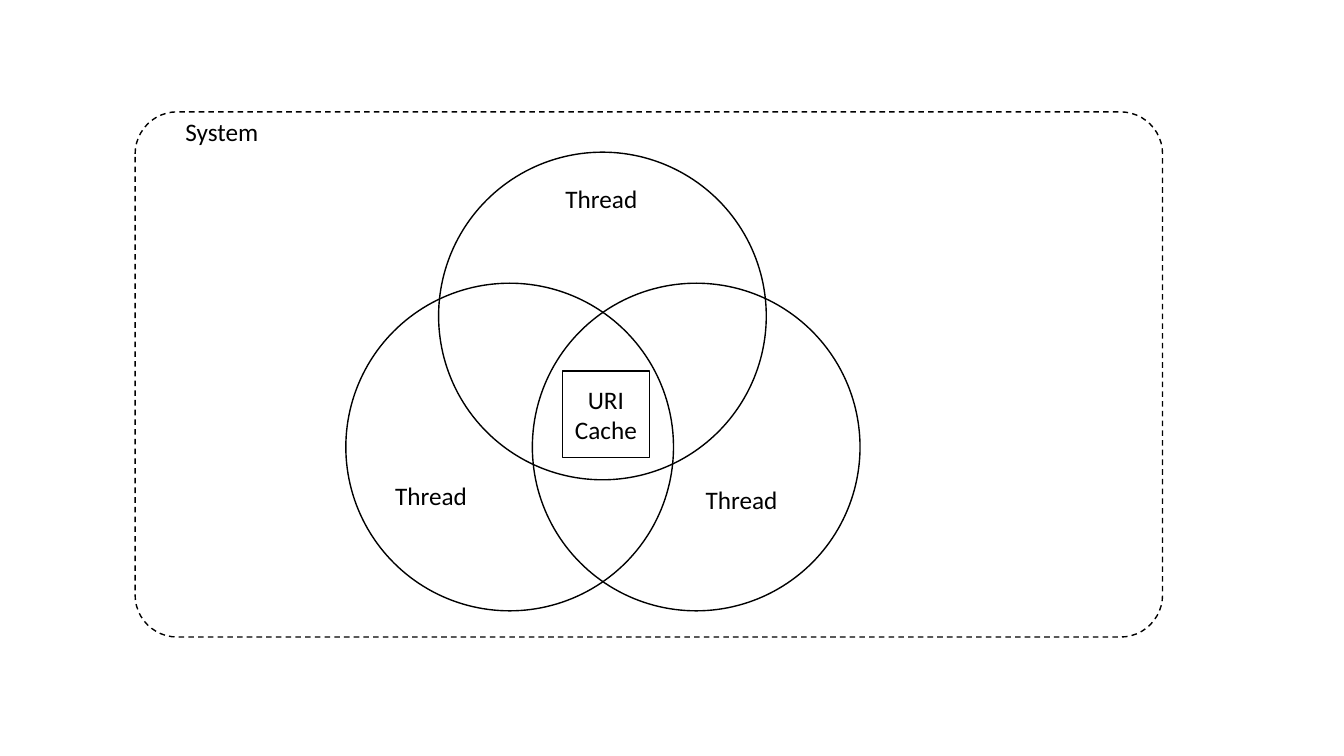
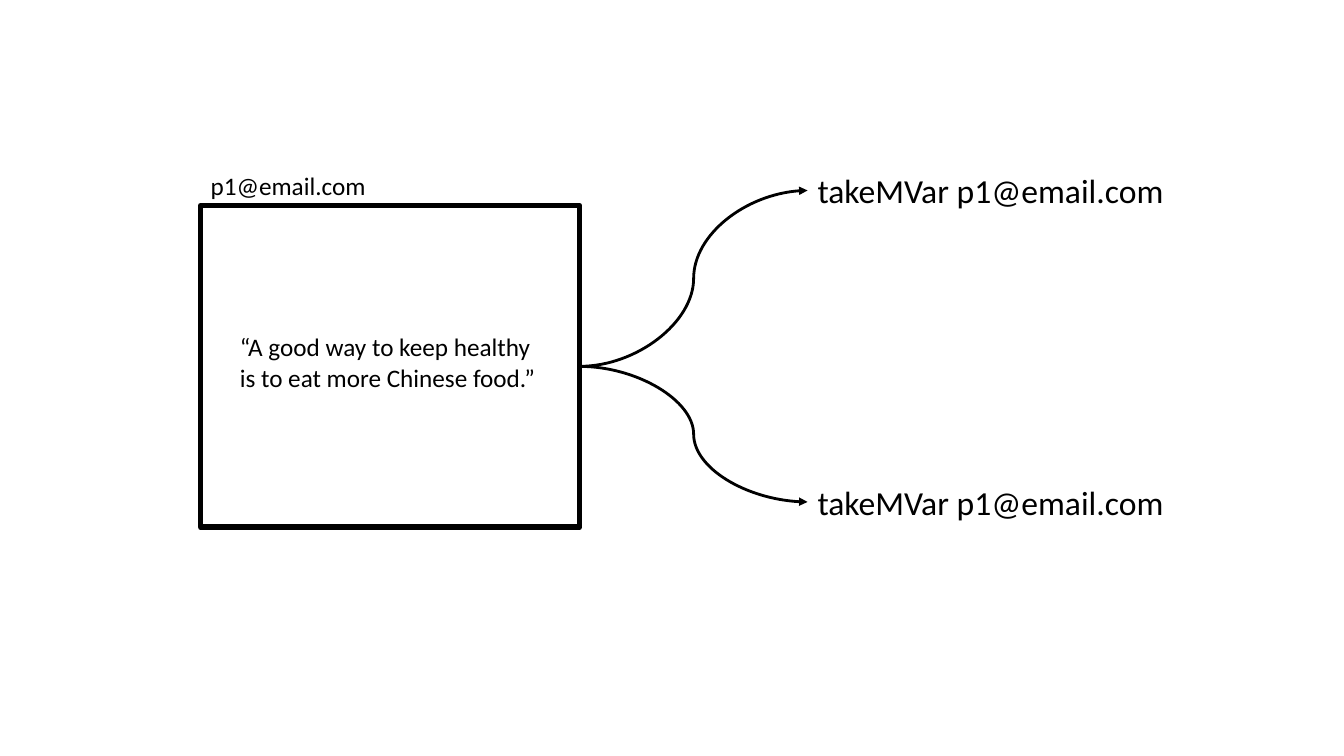
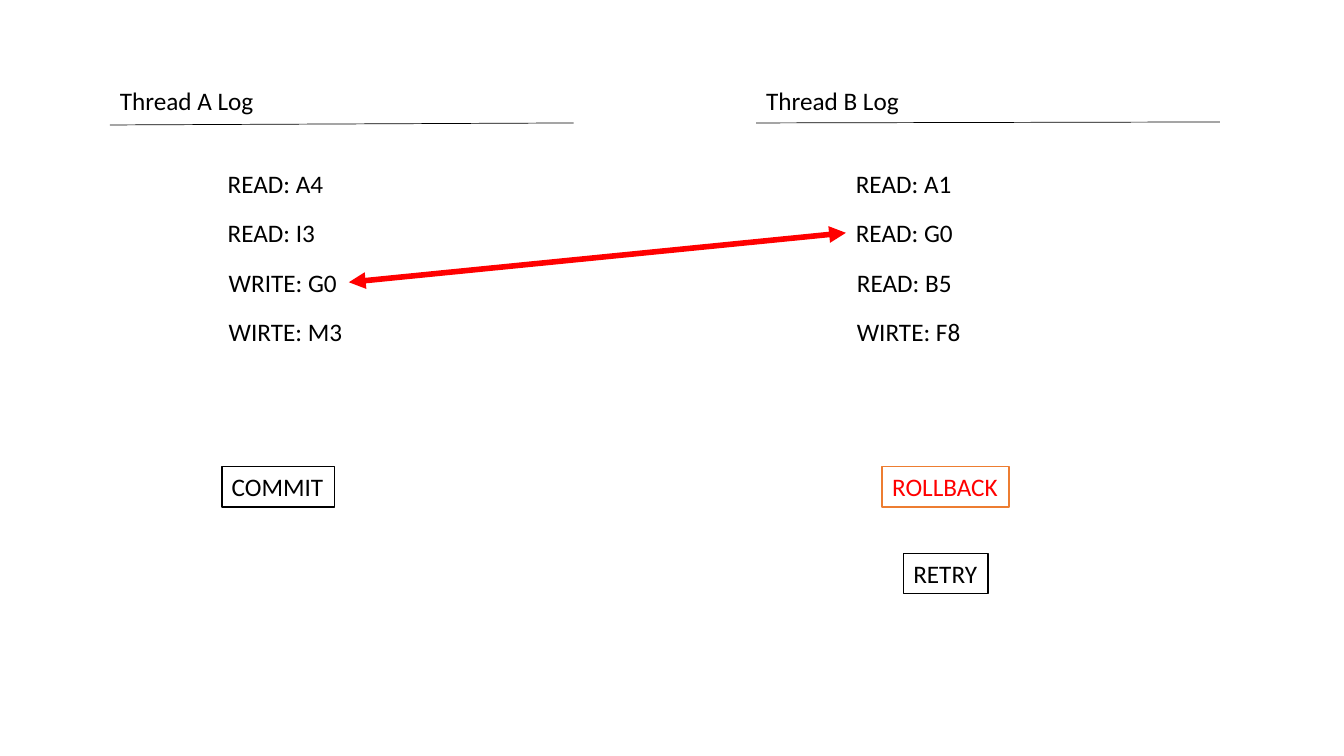
from dataclasses import dataclass

from lxml import etree
from pptx import Presentation
from pptx.dml.color import RGBColor
from pptx.enum.dml import MSO_LINE
from pptx.enum.shapes import MSO_CONNECTOR, MSO_SHAPE
from pptx.enum.text import MSO_ANCHOR, MSO_AUTO_SIZE, PP_ALIGN
from pptx.oxml.ns import qn
from pptx.util import Pt

RECTANGLE = MSO_SHAPE.RECTANGLE
ROUNDED = MSO_SHAPE.ROUNDED_RECTANGLE
OVAL = MSO_SHAPE.OVAL
STRAIGHT = MSO_CONNECTOR.STRAIGHT
CURVE = MSO_CONNECTOR.CURVE
DASH = MSO_LINE.DASH
LEFT, CENTER = PP_ALIGN.LEFT, PP_ALIGN.CENTER
TOP, MIDDLE = MSO_ANCHOR.TOP, MSO_ANCHOR.MIDDLE
GROW = MSO_AUTO_SIZE.SHAPE_TO_FIT_TEXT
SIDE_LEFT, SIDE_RIGHT = 1, 3

PIXEL = 9144  # EMU; 100 px to the inch
LABEL_HEIGHT = 40


@dataclass(frozen=True)
class Theme:
    font: str = "Calibri"
    ink: RGBColor = RGBColor(0x00, 0x00, 0x00)
    paper: RGBColor = RGBColor(0xFF, 0xFF, 0xFF)
    alert: RGBColor = RGBColor(0xFF, 0x00, 0x00)
    alert_border: RGBColor = RGBColor(0xED, 0x7D, 0x31)
    body: int = 18
    large: int = 24
    hairline: float = 0.5
    thin: int = 1
    medium: int = 2
    thick: int = 4


THEME = Theme()


def px(*lengths):
    return [length * PIXEL for length in lengths]


def write_text(shape, text, size=THEME.body, color=THEME.ink, align=LEFT,
               anchor=TOP, wrap=False, grow=True):
    frame = shape.text_frame
    frame.word_wrap = wrap
    frame.vertical_anchor = anchor
    if grow:
        frame.auto_size = GROW
    paragraph = frame.paragraphs[0]
    paragraph.alignment = align
    run = paragraph.add_run()
    run.text = text
    run.font.name = THEME.font
    run.font.size = Pt(size)
    run.font.color.rgb = color


def add_label(slide, box, text, **text_format):
    shape = slide.shapes.add_textbox(*px(*box))
    write_text(shape, text, **text_format)
    return shape


def add_outline(slide, kind, box, line=THEME.ink, width=THEME.thin, filled=True):
    shape = slide.shapes.add_shape(kind, *px(*box))
    shape.shadow.inherit = False
    if filled:
        shape.fill.solid()
        shape.fill.fore_color.rgb = THEME.paper
    else:
        shape.fill.background()
    shape.line.color.rgb = line
    shape.line.width = Pt(width)
    return shape


def add_line(slide, kind=STRAIGHT, points=(0, 0, 0, 0), color=THEME.ink,
             width=THEME.hairline, begin=None, end=None, arrows=()):
    connector = slide.shapes.add_connector(kind, *px(*points))
    if begin:
        connector.begin_connect(*begin)
    if end:
        connector.end_connect(*end)
    connector.line.color.rgb = color
    connector.line.width = Pt(width)
    line_element = connector.line._get_or_add_ln()
    for arrow in arrows:
        etree.SubElement(line_element, qn(f"a:{arrow}"), type="triangle")
    etree.SubElement(connector._element.spPr, qn("a:effectLst"))
    return connector


# Slide 1: threads sharing a cache
def build_shared_cache(slide, left, top, width, height):
    system = add_outline(slide, ROUNDED, (left, top, width, height))
    system.adjustments[0] = 0.08
    system.line.dash_style = DASH
    add_label(slide, (left + 40, top, 93, LABEL_HEIGHT), "System")

    # Three overlapping threads: circle offset, then its label's offset
    diameter = 325
    venn_left, venn_top = left + 301, top + 40
    threads = [
        ((0, 0), (116, 26)),
        ((93, 130), (162, 195)),
        ((-92, 130), (39, 191)),
    ]
    for (across, down), (label_across, label_down) in threads:
        x, y = venn_left + across, venn_top + down
        add_outline(slide, OVAL, (x, y, diameter, diameter), filled=False)
        add_label(slide, (x + label_across, y + label_down, 92, LABEL_HEIGHT),
                  "Thread")

    # Cache in the common area
    cache = add_outline(slide, RECTANGLE, (venn_left + 123, venn_top + 217, 86, 86))
    write_text(cache, "URI Cache", align=CENTER, anchor=MIDDLE, wrap=True, grow=False)


# Slide 2: two readers contending for one variable
def build_contention(slide, left, top, width, height):
    address = "p1@email.com"
    variable = add_outline(slide, RECTANGLE, (left, top, width, height),
                           width=THEME.thick)
    add_label(slide, (left, top - LABEL_HEIGHT, 175, LABEL_HEIGHT), address)
    add_label(slide, (left + 29, top + 120, 322, 71),
              "“A good way to keep healthy is to eat more Chinese food.”", wrap=True)

    # Readers, each reached by a curved arrow
    for reader_top in (top - 40, top + 269):
        reader = add_label(slide, (left + width + 226, reader_top, 365, 50),
                           f"takeMVar {address}", size=THEME.large)
        add_line(slide, CURVE, width=THEME.medium, begin=(variable, SIDE_RIGHT),
                 end=(reader, SIDE_LEFT), arrows=["tailEnd"])


# Slide 3: transaction logs in conflict
def add_log(slide, left, top, title, entries, indent, rule_down, rule_rise):
    add_label(slide, (left, top, 154, LABEL_HEIGHT), title)
    rule_top = top + rule_down
    add_line(slide, points=(left, rule_top, left + 460, rule_top - rule_rise))
    labels = {}
    for row, (text, width) in enumerate(entries):
        box = (left + indent + row // 2, top + 82 + 49 * row, width, LABEL_HEIGHT)
        labels[text] = add_label(slide, box, text)
    return labels


def add_outcome(slide, left, top, width, text, line=THEME.ink, color=THEME.ink):
    shape = add_outline(slide, RECTANGLE, (left, top, width, LABEL_HEIGHT), line=line)
    write_text(shape, text, color=color)


def build_logs(slide, left, top):
    right = left + 641
    log_a = add_log(
        slide, left, top, "Thread A Log",
        [("READ: A4", 116), ("READ: I3", 108), ("WRITE: G0", 129), ("WIRTE: M3", 134)],
        indent=107, rule_down=44, rule_rise=2)
    log_b = add_log(
        slide, right, top, "Thread B Log",
        [("READ: A1", 116), ("READ: G0", 117), ("READ: B5", 115), ("WIRTE: F8", 124)],
        indent=89, rule_down=42, rule_rise=1)

    # Conflict between the two logs
    add_line(slide, color=THEME.alert, width=THEME.thick,
             begin=(log_a["WRITE: G0"], SIDE_RIGHT),
             end=(log_b["READ: G0"], SIDE_LEFT), arrows=["headEnd", "tailEnd"])

    # Outcomes
    add_outcome(slide, left + 111, top + 383, 112, "COMMIT")
    add_outcome(slide, right + 125, top + 383, 126, "ROLLBACK",
                line=THEME.alert_border, color=THEME.alert)
    add_outcome(slide, right + 146, top + 469, 84, "RETRY")


def main():
    presentation = Presentation()
    presentation.slide_width, presentation.slide_height = px(1333, 750)
    blank = presentation.slide_layouts[6]
    pages = [
        (build_shared_cache, (134, 111, 1019, 521)),
        (build_contention, (199, 204, 376, 319)),
        (build_logs, (109, 80)),
    ]
    for build, box in pages:
        build(presentation.slides.add_slide(blank), *box)
    presentation.save("out.pptx")


if __name__ == "__main__":
    main()
